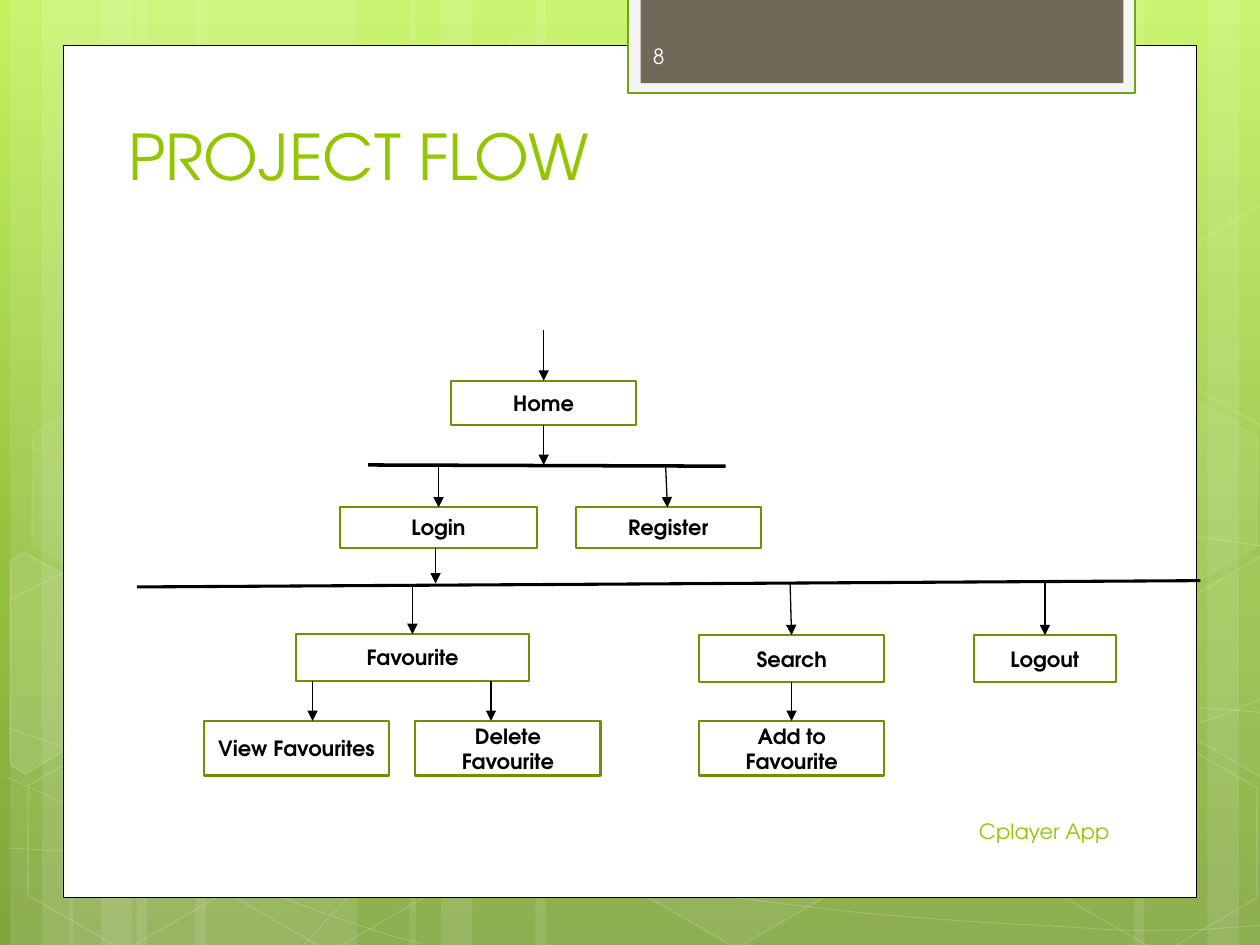
"""Build the project flow slide with its green backdrop."""
import copy
import dataclasses
import math
import typing

import pptx
import pptx.dml.color
import pptx.enum.shapes
import pptx.enum.text
import pptx.oxml
import pptx.oxml.ns
import pptx.util

Pt = pptx.util.Pt
KIND = pptx.enum.shapes.MSO_SHAPE
ALIGN = pptx.enum.text.PP_ALIGN
ANCHOR = pptx.enum.text.MSO_ANCHOR
SPACE = pptx.oxml.ns.nsdecls("a")
FONT = "TeX Gyre Adventor"
TURN = 30
HUES = {
    "top": "C3F35F", "mid": "93BF3F", "base": "81A53E",
    "white": "FFFFFF", "black": "000000", "frame": "F5F5F5", "rim": "74A510",
    "tab": "71685A", "lime": "94C600", "edge": "6D9200", "page": "FEFEFE",
}
Point = tuple[float, float]


@dataclasses.dataclass
class Box:
    left: float
    top: float
    width: float
    height: float

    def spans(self) -> list[int]:
        """Give the four lengths as EMU."""
        return [Pt(n) for n in dataclasses.astuple(self)[:4]]


@dataclasses.dataclass
class Node(Box):
    text: str


@dataclasses.dataclass
class Link:
    start: Point
    end: Point
    weight: float = 0.75
    arrow: bool = True


@dataclasses.dataclass
class Hex:
    left: float
    top: float
    fill: int
    line: int


@dataclasses.dataclass
class Shard:
    hub: Point
    points: list[Point]
    fill: int


BANDS = [(78, 126), (6, 36), (24, 60), (111.6, 126), (39.6, 36), (57.6, 60),
         (528, 126), (690, 36), (648, 60), (306, 222), (234, 36), (252, 60)]
CURVES = [
    [(5, 484.6), (43.9, 486.7), (82.8, 488.9), (136.8, 488.2), (190.8, 487.4),
     (257.8, 486), (329.8, 478.8), (401.8, 471.6), (504, 457.9), (570.2, 444.2),
     (635.8, 430.6), (703.4, 409), (725, 396.7)],
    [(5, 343.4), (25.9, 331.9), (46.8, 321.1), (87.1, 310.3), (128.2, 299.5),
     (186.5, 283.7), (249.8, 278.6), (313.9, 273.6), (391.7, 272.9), (470.9, 278.6),
     (550.1, 284.4), (681.8, 306.7), (725, 312.5)],
    [(4.3, 444.2), (91.4, 483.8), (177.8, 523.4), (240.5, 539.3)],
    [(5, 416.2), (27.4, 424.1), (50.4, 432), (92.2, 443.5), (133.9, 454.3),
     (196.6, 472.3), (257, 484.6), (316.8, 496.8), (392.4, 509.8), (452.2, 517),
     (511.9, 524.9), (576, 527.8), (614.2, 529.9), (651.6, 532.8), (661.7, 531.4),
     (680.4, 531.4), (699.1, 530.6), (712.1, 529.2), (725, 528.5)],
    [(174.2, 539.3), (187.2, 524.9), (200.2, 510.5), (217.4, 497.5), (234.7, 484.6),
     (259.2, 470.2), (279.4, 460.1), (299.5, 450), (311.8, 445.7), (338.4, 438.5),
     (364.3, 431.3), (412.6, 421.2), (437.8, 416.2), (463.7, 411.1), (467.3, 411.1),
     (489.6, 409.7), (511.9, 407.5), (547.2, 405.4), (571.7, 404.6), (596.9, 403.9),
     (637.9, 404.6), (637.9, 404.6), (654, 404.6), (670, 404.6), (686.2, 404.6),
     (699.1, 405.4), (711.4, 406.1), (717.8, 406.8), (724.3, 407.5), (722.2, 406.8),
     (724.3, 407.5)],
]
HEXES = [Hex(240.5, 25.9, 4, 8), Hex(357.8, 424.1, 6, 12), Hex(7.9, 425.5, 0, 12),
         Hex(10.1, 224.6, 7, 8), Hex(125.3, 426.2, 0, 12), Hex(542.2, 326.2, 10, 12),
         Hex(600.5, 427, 0, 12), Hex(600.5, 226.1, 7, 8)]
RIGHT = [(666.7, 349.2), (720.7, 317.5), (726.5, 321.1),
         (726.5, 441.4), (721.4, 444.2), (666.7, 412.6)]
SHARDS = [
    Shard((25.9, 385.2), [(5.8, 320.4), (13.7, 315.4), (69.1, 347), (68.4, 410.4),
                          (14.4, 442.1), (5.8, 437)], 10),
    Shard((709.2, 374.4), RIGHT, 4),
    Shard((709.2, 173.5), [(x, y - 200.5) for x, y in RIGHT], 0),
]
NODES = [
    Node(257.8, 217.6, 105.8, 25.2, "Home"),
    Node(194.1, 289.8, 113, 23.3, "Login"),
    Node(329, 289.8, 105.8, 23.3, "Register"),
    Node(169.2, 362.4, 133.2, 26.6, "Favourite"),
    Node(399.6, 363, 105.8, 26.8, "Search"),
    Node(556.4, 363, 81.4, 26.8, "Logout"),
    Node(116.6, 412, 105.8, 31.2, "View Favourites"),
    Node(237.4, 412, 105.8, 31.2, "Delete Favourite"),
    Node(399.6, 412, 105.8, 31.2, "Add to Favourite"),
]
LINKS = [
    Link((210.4, 265.7), (414.7, 266.4), 2, False),
    Link((78.3, 335.4), (686, 331.8), 1.75, False),
    Link((310.7, 188.6), (310.7, 217.6)),
    Link((310.7, 242.6), (310.7, 265.7)),
    Link((250.6, 267.1), (250.6, 290)),
    Link((380.4, 266.4), (381.4, 290)),
    Link((248.9, 313.3), (248.9, 333.4)),
    Link((235.7, 334.8), (235.7, 362.4)),
    Link((451.5, 332.6), (452.3, 363)),
    Link((597.1, 331.9), (597.1, 363)),
    Link((178.6, 389), (178.6, 412)),
    Link((280.6, 389), (280.6, 412)),
    Link((452.3, 389.8), (452.3, 412)),
]


def hue(name: str) -> pptx.dml.color.RGBColor:
    """Look up a colour."""
    return pptx.dml.color.RGBColor.from_string(HUES[name])


def fade(shape: typing.Any, route: str, share: int) -> None:
    """Set the opacity in percent of the colour at a route below spPr."""
    for tint in shape.element.xpath(f"./p:spPr/{route}a:solidFill/a:srgbClr"):
        tint.append(pptx.oxml.parse_xml(f'<a:alpha {SPACE} val="{share * 1000}"/>'))


def paint(shape: typing.Any, fill: str = "", line: str = "", weight: float = 1) -> None:
    """Give a shape a flat fill and line, or none."""
    shape.shadow.inherit = False
    if fill:
        shape.fill.solid()
        shape.fill.fore_color.rgb = hue(fill)
    else:
        shape.fill.background()
    if line:
        shape.line.color.rgb = hue(line)
        shape.line.width = Pt(weight)
    else:
        shape.line.fill.background()


def glaze(shape: typing.Any, fill: int, line: int, weight: float = 1) -> None:
    """Paint a shape in sheer white, with opacities in percent."""
    paint(shape, "white" if fill else "", "white" if line else "", weight)
    fade(shape, "", fill)
    fade(shape, "a:ln/", line)


def write(shape: typing.Any, text: str, size: float, tint: str, align: typing.Any,
          anchor: typing.Any = ANCHOR.MIDDLE, bold: bool = False) -> None:
    """Put one run of text in a shape."""
    frame = shape.text_frame
    frame.word_wrap = True
    frame.auto_size = pptx.enum.text.MSO_AUTO_SIZE.NONE
    frame.vertical_anchor = anchor
    para = frame.paragraphs[0]
    para.alignment = align
    run = para.add_run()
    run.text = text
    run.font.name, run.font.size, run.font.bold = FONT, Pt(size), bold
    run.font.color.rgb = hue(tint)


def trace(shapes: typing.Any, points: list[Point], close: bool) -> typing.Any:
    """Draw an outline through points."""
    spots = [(Pt(x), Pt(y)) for x, y in points]
    pen = shapes.build_freeform(*spots[0])
    pen.add_line_segments(spots[1:], close=close)
    return pen.convert_to_shape()


def curve(shapes: typing.Any, knots: list[Point]) -> typing.Any:
    """Draw a chain of cubic curves, three knots to each."""
    shape = trace(shapes, knots, False)
    legs = shape.element.xpath(".//a:lnTo")
    for first in range(0, len(legs), 3):
        arc = pptx.oxml.parse_xml(f"<a:cubicBezTo {SPACE}/>")
        legs[first].addprevious(arc)
        for leg in legs[first:first + 3]:
            arc.append(leg[0])
            leg.getparent().remove(leg)
    return shape


def spin(hub: Point, points: list[Point]) -> list[Point]:
    """Turn points back about a hub, ahead of the shape's own turn."""
    cos, sin = math.cos(math.radians(TURN)), math.sin(math.radians(TURN))
    gaps = [(x - hub[0], y - hub[1]) for x, y in points]
    return [(hub[0] + x * cos + y * sin, hub[1] + y * cos - x * sin) for x, y in gaps]


def join(shapes: typing.Any, link: Link) -> None:
    """Draw a line, with an arrowhead if asked."""
    ends = [Pt(n) for n in (*link.start, *link.end)]
    line = shapes.add_connector(pptx.enum.shapes.MSO_CONNECTOR.STRAIGHT, *ends)
    line.line.color.rgb = hue("black")
    line.line.width = Pt(link.weight)
    if link.arrow:
        head = pptx.oxml.parse_xml(f'<a:tailEnd {SPACE} type="triangle"/>')
        line.element.xpath("./p:spPr/a:ln")[0].append(head)
    line.element.spPr.append(pptx.oxml.parse_xml(f"<a:effectLst {SPACE}/>"))


def wash(slide: typing.Any) -> None:
    """Fill the ground with three greens from top to base."""
    fill = slide.background.fill
    fill.gradient()
    fill.gradient_angle = 270
    stops = slide.element.xpath(".//p:bg//a:gsLst")[0]
    stops.insert(1, copy.deepcopy(stops[0]))
    for stop, (place, name) in zip(fill.gradient_stops,
                                   [(0, "top"), (0.62, "mid"), (1, "base")]):
        stop.position = place
        stop.color.rgb = hue(name)


def scene(shapes: typing.Any) -> None:
    """Draw the backdrop, the panel and the tab."""
    for left, width in BANDS:
        glaze(shapes.add_shape(KIND.RECTANGLE, *Box(left, 0, width, 540).spans()), 10, 0)
    for knots in CURVES:
        glaze(curve(shapes, knots), 0, 20, 0.5)
    for item in HEXES:
        cell = shapes.add_shape(KIND.HEXAGON, *Box(item.left, item.top, 126, 109.4).spans())
        cell.rotation = TURN
        cell.adjustments[0] = 0.285
        glaze(cell, item.fill, item.line)
    for shard in SHARDS:
        piece = trace(shapes, spin(shard.hub, shard.points), True)
        piece.rotation = TURN
        glaze(piece, shard.fill, 12)
    for box, fill, line, weight in [
        (Box(36, 25.9, 648, 487.2), "white", "black", 0.5),
        (Box(359, -1.5, 289.7, 54.7), "frame", "rim", 1.25),
        (Box(366, -1.5, 276, 49), "tab", "", 0),
    ]:
        paint(shapes.add_shape(KIND.RECTANGLE, *box.spans()), fill, line, weight)


def main() -> None:
    """Build and save the slide."""
    deck = pptx.Presentation()
    deck.slide_width, deck.slide_height = Pt(720), Pt(540)
    slide = deck.slides.add_slide(deck.slide_layouts[5])
    shapes = slide.shapes
    title = shapes.title
    wash(slide)
    scene(shapes)
    shapes.element.append(title.element)
    title.left, title.top, title.width, title.height = Box(66.2, 54.3, 553, 59.8).spans()
    write(title, "PROJECT FLOW", 36, "lime", ALIGN.LEFT, ANCHOR.BOTTOM)
    write(shapes.add_textbox(*Box(366, 460.8, 275.2, 28.8).spans()),
          "Cplayer App", 12, "lime", ALIGN.RIGHT)
    write(shapes.add_textbox(*Box(366, 17.7, 105, 28.8).spans()), "8", 12, "page", ALIGN.LEFT)
    for node in NODES:
        card = shapes.add_shape(KIND.RECTANGLE, *node.spans())
        paint(card, "white", "edge", 1.25)
        write(card, node.text, 12, "black", ALIGN.CENTER, bold=True)
    for link in LINKS:
        join(shapes, link)
    deck.save("out.pptx")


if __name__ == "__main__":
    main()
